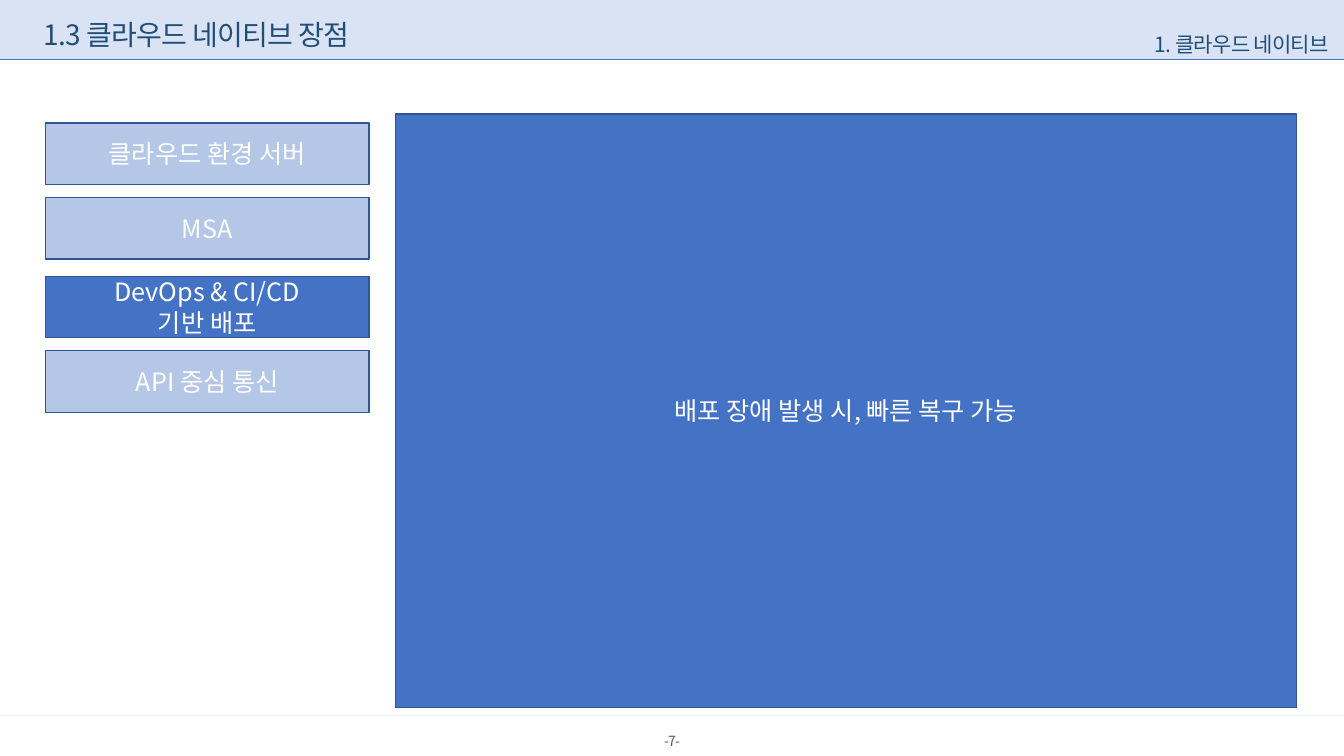
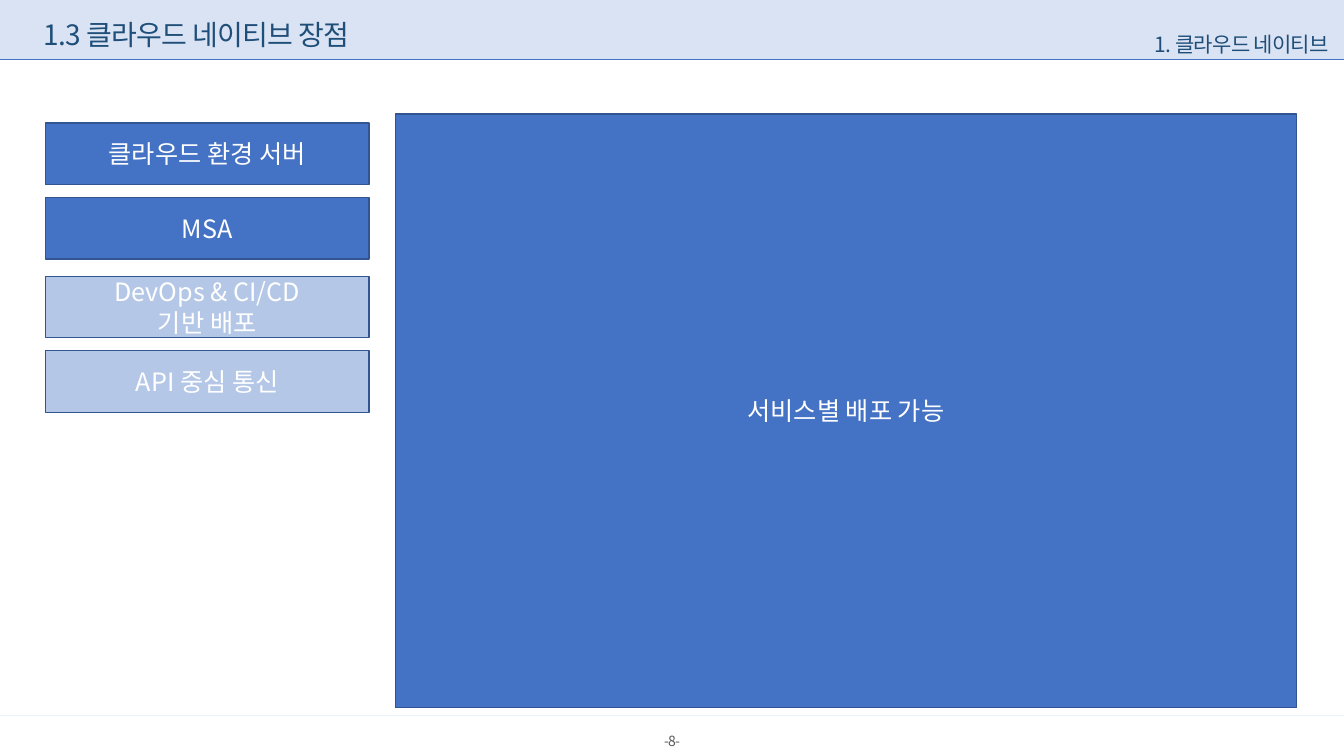
from dataclasses import dataclass

from lxml import etree
from pptx import Presentation
from pptx.dml.color import RGBColor
from pptx.enum import shapes, text
from pptx.oxml import ns
from pptx.util import Inches, Pt

FONT = "Noto Sans CJK KR"
COLORS = {
    "band": "DAE3F3",
    "active": "4472C4",
    "muted": "B4C7E7",
    "outline": "325491",
    "footer_rule": "EBF2F9",
    "heading": "1F4E79",
    "page": "595959",
    "white": "FFFFFF",
}
ALIGN = text.PP_ALIGN
WIDTH, HEIGHT = 13.33, 7.5
BAND_H, FOOTER_Y = 0.59, 7.1
TITLE = "1.3 클라우드 네이티브 장점"
SECTION = "1. 클라우드 네이티브"


@dataclass(frozen=True)
class Topic:
    label: str
    top: float


@dataclass(frozen=True)
class Page:
    number: int
    active: tuple[int, ...]
    message: str


TOPICS = (
    Topic("클라우드 환경 서버", 1.22),
    Topic("MSA", 1.96),
    Topic("DevOps & CI/CD\n기반 배포", 2.74),
    Topic("API 중심 통신", 3.48),
)
PAGES = (
    Page(7, (2,), "배포 장애 발생 시, 빠른 복구 가능"),
    Page(8, (0, 1), "서비스별 배포 가능"),
)


def rgb(name: str) -> RGBColor:
    return RGBColor.from_string(COLORS[name])


def write(sp, content: str, *, size: float = 18, color: str = "white",
          align=ALIGN.CENTER, line_spacing: float | None = None,
          tracking: int | None = None) -> None:
    tf = sp.text_frame
    tf.word_wrap = True
    tf.auto_size = text.MSO_AUTO_SIZE.NONE
    tf.vertical_anchor = text.MSO_ANCHOR.MIDDLE
    tf.text = content
    for p in tf.paragraphs:
        if sp.is_placeholder:
            pPr = p._p.get_or_add_pPr()
            pPr.set("marL", "0")
            pPr.set("indent", "0")
            etree.SubElement(pPr, ns.qn("a:buNone"))
            p.space_before = Pt(0)
        p.alignment = align
        if line_spacing:
            p.line_spacing = line_spacing
        for r in p.runs:
            r.font.name = FONT
            r.font.size = Pt(size)
            r.font.color.rgb = rgb(color)
            rPr = r.font._element
            etree.SubElement(rPr, ns.qn("a:ea")).set("typeface", FONT)
            if tracking:
                rPr.set("spc", str(tracking))


def place(sp, left: float, top: float, width: float, height: float) -> None:
    sp.left, sp.top = Inches(left), Inches(top)
    sp.width, sp.height = Inches(width), Inches(height)


def add_box(s, left: float, top: float, width: float, height: float,
            fill: str, outline: str | None = None):
    sp = s.shapes.add_shape(shapes.MSO_SHAPE.RECTANGLE, Inches(left),
                            Inches(top), Inches(width), Inches(height))
    sp.shadow.inherit = False
    sp.fill.solid()
    sp.fill.fore_color.rgb = rgb(fill)
    if outline:
        sp.line.color.rgb = rgb(outline)
        sp.line.width = Pt(1)
    else:
        sp.line.fill.background()
    return sp


def add_rule(s, y: float, color: str):
    line = s.shapes.add_connector(shapes.MSO_CONNECTOR.STRAIGHT, Inches(0),
                                  Inches(y), Inches(WIDTH), Inches(y))
    line.line.color.rgb = rgb(color)
    line.line.width = Pt(0.5)
    etree.SubElement(line._element.spPr, ns.qn("a:effectLst"))
    return line


def furnish_layout(layout, s) -> None:
    for ph in list(layout.placeholders):
        if ph.placeholder_format.idx >= 10:
            layout.shapes.element.remove(ph.element)
    furniture = (
        add_box(s, 0, 0, WIDTH, BAND_H, "band"),
        add_rule(s, FOOTER_Y, "footer_rule"),
        add_rule(s, BAND_H, "active"),
    )
    for sp in furniture:
        layout.shapes.element.append(sp.element)


def fill_slide(s, page: Page) -> None:
    heading = {"color": "heading", "line_spacing": 0.9, "tracking": -50}
    title, section = s.shapes.title, s.placeholders[1]
    place(title, 0.33, 0.15, 4.03, 0.43)
    write(title, TITLE, size=20, align=ALIGN.LEFT, **heading)
    place(section, 9.55, 0.3, 3.73, 0.3)
    write(section, SECTION, size=15, align=ALIGN.RIGHT, **heading)

    for i, topic in enumerate(TOPICS):
        fill = "active" if i in page.active else "muted"
        write(add_box(s, 0.45, topic.top, 3.21, 0.61, fill, "outline"),
              topic.label)
    write(add_box(s, 3.92, 1.13, 8.94, 5.89, "active", "outline"),
          page.message)

    number = s.shapes.add_textbox(Inches(6.24), Inches(7.24),
                                  Inches(0.85), Inches(0.24))
    write(number, f"-{page.number}-", size=10, color="page",
          line_spacing=0.9, tracking=-50)


def main() -> None:
    prs = Presentation()
    prs.slide_width, prs.slide_height = Inches(WIDTH), Inches(HEIGHT)
    layout = prs.slide_layouts[1]
    slides = [prs.slides.add_slide(layout) for _ in PAGES]
    furnish_layout(layout, slides[0])
    for s, page in zip(slides, PAGES):
        fill_slide(s, page)
    prs.save("out.pptx")


if __name__ == "__main__":
    main()
